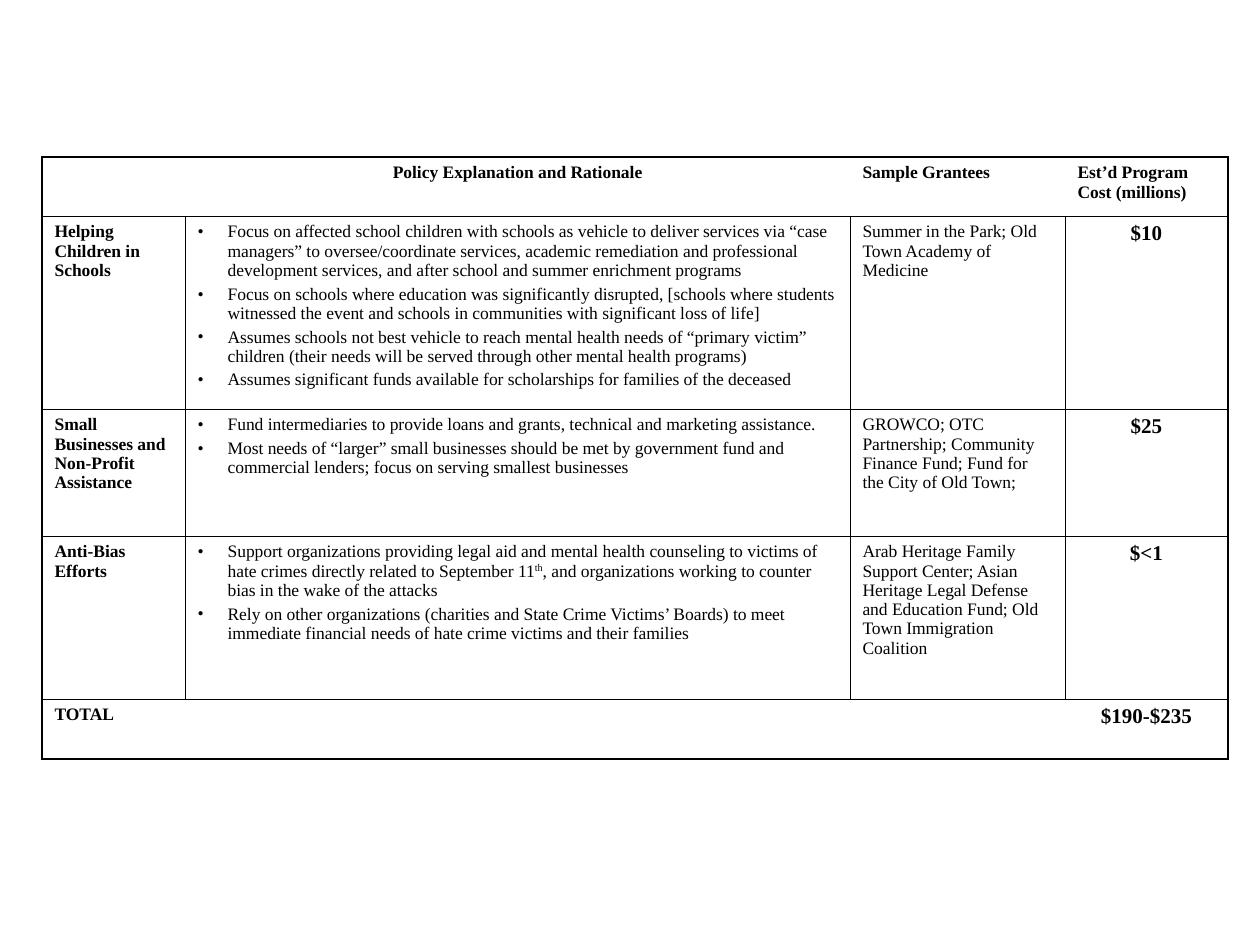
"""Build a slide with a table of relief programs, grantees and costs."""
from lxml.etree import SubElement
from pptx import Presentation
from pptx.dml.color import RGBColor
from pptx.enum.text import PP_ALIGN
from pptx.oxml.ns import qn
from pptx.util import Emu, Pt

PX = 914400 / 126
FONT = "Times New Roman"
COLORS = {"ink": "000000"}
THIN, THICK = 0.45, 1.08
BULLET_INDENT = 30
COLUMNS = [143, 665, 215, 163]
ROWS = [59, 193, 127, 163, 60]
HEADERS = ["", "Policy Explanation and Rationale", "Sample Grantees", "Est’d Program Cost (millions)"]
PROGRAMS = [
    (
        "Helping Children in Schools",
        [
            ["Focus on affected school children with schools as vehicle to deliver services via “case managers” "
             "to oversee/coordinate services, academic remediation and professional development services, "
             "and after school and summer enrichment programs"],
            ["Focus on schools where education was significantly disrupted, [schools where students witnessed "
             "the event and schools in communities with significant loss of life]"],
            ["Assumes schools not best vehicle to reach mental health needs of “primary victim” children "
             "(their needs will be served through other mental health programs)"],
            ["Assumes significant funds available for scholarships for families of the deceased"],
        ],
        "Summer in the Park; Old Town Academy of Medicine",
        "$10",
    ),
    (
        "Small Businesses and Non-Profit Assistance",
        [
            ["Fund intermediaries to provide loans and grants, technical and marketing assistance."],
            ["Most needs of “larger” small businesses should be met by government fund and commercial lenders; "
             "focus on serving smallest businesses"],
        ],
        "GROWCO; OTC Partnership; Community Finance Fund; Fund for the City of Old Town;",
        "$25",
    ),
    (
        "Anti-Bias Efforts",
        [
            ["Support organizations providing legal aid and mental health counseling to victims of hate crimes "
             "directly related to September 11", "th",
             ", and organizations working to counter bias in the wake of the attacks"],
            ["Rely on other organizations (charities and State Crime Victims’ Boards) to meet immediate "
             "financial needs of hate crime victims and their families"],
        ],
        "Arab Heritage Family Support Center; Asian Heritage Legal Defense and Education Fund; "
        "Old Town Immigration Coalition",
        "$<1",
    ),
]
TOTAL = ["TOTAL", "", "", "$190-$235"]


def px(length):
    """Turn whole pixels into EMU."""
    return Emu(round(length * PX))


def add_run(paragraph, text, size, bold):
    """Add one styled run to a paragraph."""
    run = paragraph.add_run()
    run.text = text
    run.font.name = FONT
    run.font.size = Pt(size)
    run.font.bold = bold
    run.font.color.rgb = RGBColor.from_string(COLORS["ink"])
    return run


def write_text(cell, text, size=10, bold=False, align=PP_ALIGN.LEFT):
    """Write a single paragraph into a cell."""
    paragraph = cell.text_frame.paragraphs[0]
    paragraph.alignment = align
    paragraph.space_before = Pt(size / 4)
    if text:
        add_run(paragraph, text, size, bold)


def write_cost(cell, text):
    """Write a large centred cost into a cell."""
    write_text(cell, text, 12, True, PP_ALIGN.CENTER)


def write_bullets(cell, points):
    """Write bulleted points, each a list of runs, into a cell."""
    frame = cell.text_frame
    for index, parts in enumerate(points):
        paragraph = frame.add_paragraph() if index else frame.paragraphs[0]
        paragraph.space_before = Pt(2.5)
        properties = paragraph._p.get_or_add_pPr()
        properties.set("marL", str(px(BULLET_INDENT)))
        properties.set("indent", str(-px(BULLET_INDENT)))
        SubElement(properties, qn("a:buFont"), typeface=FONT)
        SubElement(properties, qn("a:buChar"), char="•")
        for part in parts:
            run = add_run(paragraph, part, 10, False)
            if part == "th":
                run.font._element.set("baseline", "30000")


def set_border(cell, side, width):
    """Draw one cell border, or none when the width is zero."""
    properties = cell._tc.get_or_add_tcPr()
    line = SubElement(properties, qn(f"a:ln{side}"), w=str(Pt(width)))
    if width:
        fill = SubElement(line, qn("a:solidFill"))
        SubElement(fill, qn("a:srgbClr"), val=COLORS["ink"])
    else:
        SubElement(line, qn("a:noFill"))


def style_cells(table):
    """Give the table a thick frame, thin inner lines and clear cells."""
    last_row, last_column = len(ROWS) - 1, len(COLUMNS) - 1
    for row in range(len(ROWS)):
        inner = 0 if row in (0, last_row) else THIN
        for column in range(len(COLUMNS)):
            cell = table.cell(row, column)
            set_border(cell, "L", inner if column else THICK)
            set_border(cell, "R", THICK if column == last_column else inner)
            set_border(cell, "T", THIN if row else THICK)
            set_border(cell, "B", THICK if row == last_row else THIN)
            cell.fill.background()


def add_program_table(slide):
    """Add the empty program table with its column and row sizes."""
    table = slide.shapes.add_table(
        len(ROWS), len(COLUMNS), px(42), px(157), px(sum(COLUMNS)), px(sum(ROWS))
    ).table
    table.first_row = False
    table.horz_banding = False
    for column, width in zip(table.columns, COLUMNS):
        column.width = px(width)
    for row, height in zip(table.rows, ROWS):
        row.height = px(height)
    style_cells(table)
    return table


def fill_table(table):
    """Write the headers, the programs and the total."""
    for column, header in enumerate(HEADERS):
        align = PP_ALIGN.CENTER if column == 1 else PP_ALIGN.LEFT
        write_text(table.cell(0, column), header, bold=True, align=align)
    for row, (name, points, grantees, cost) in enumerate(PROGRAMS, 1):
        write_text(table.cell(row, 0), name, bold=True)
        write_bullets(table.cell(row, 1), points)
        write_text(table.cell(row, 2), grantees)
        write_cost(table.cell(row, 3), cost)
    total_row = len(ROWS) - 1
    write_text(table.cell(total_row, 0), TOTAL[0], bold=True)
    write_cost(table.cell(total_row, 3), TOTAL[3])


def main():
    """Build and save the presentation."""
    presentation = Presentation()
    presentation.slide_width = px(1260)
    presentation.slide_height = px(945)
    slide = presentation.slides.add_slide(presentation.slide_layouts[6])
    fill_table(add_program_table(slide))
    presentation.save("out.pptx")


if __name__ == "__main__":
    main()
